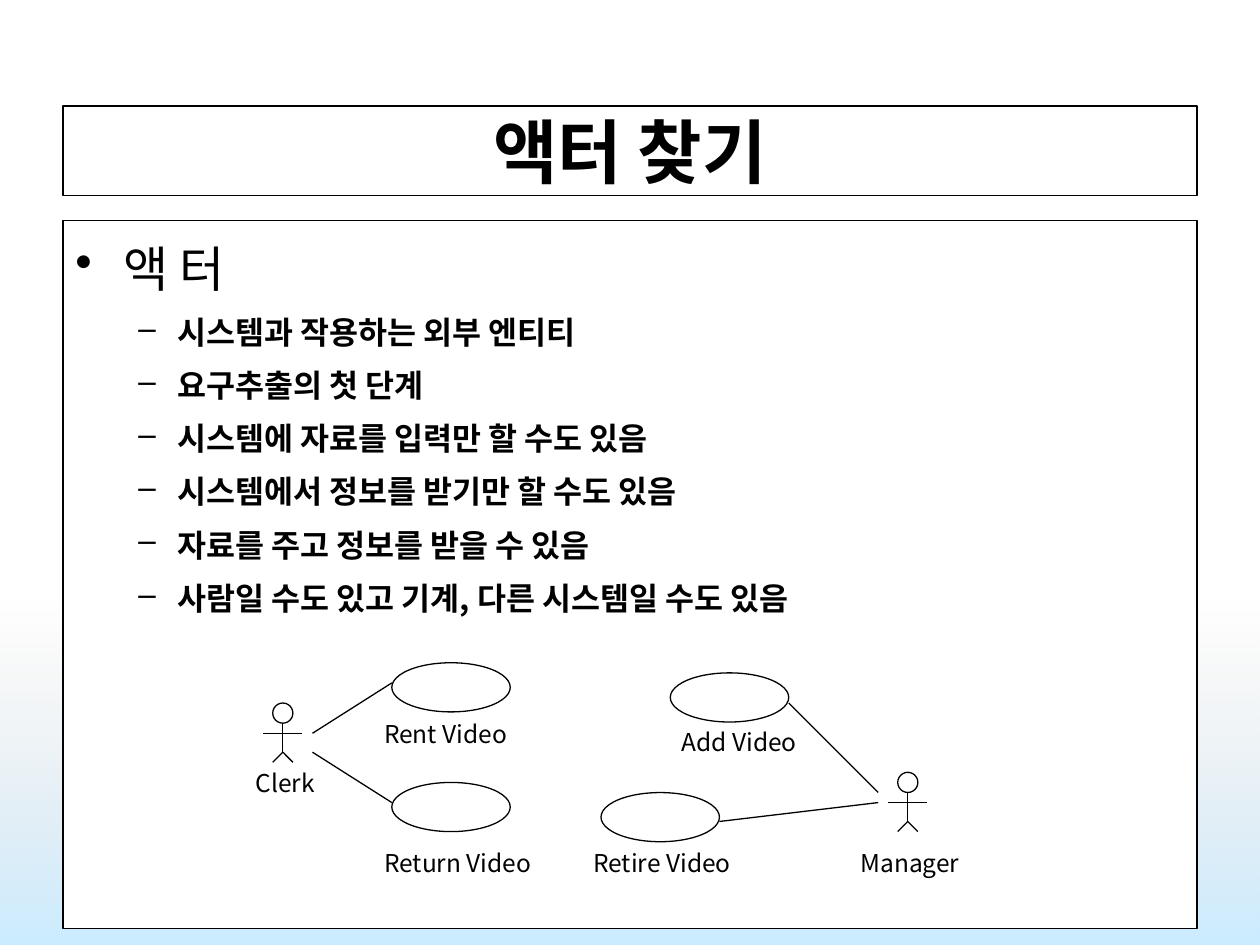
from dataclasses import dataclass

from lxml.etree import SubElement
from pptx import Presentation
from pptx.dml.color import RGBColor
from pptx.enum.shapes import MSO_CONNECTOR, MSO_SHAPE
from pptx.enum.text import MSO_ANCHOR, PP_ALIGN
from pptx.oxml.ns import qn
from pptx.util import Inches, Pt


@dataclass(frozen=True)
class Theme:
    font: str = "Noto Sans CJK KR"
    ink: RGBColor = RGBColor(0, 0, 0)
    paper: RGBColor = RGBColor(255, 255, 255)
    haze: RGBColor = RGBColor(0xDD, 0xDD, 0xDD)
    sky: RGBColor = RGBColor(0xCC, 0xEC, 0xFF)
    rule: float = 0.75
    title: int = 40
    head: int = 28
    item: int = 18
    label: int = 14


THEME = Theme()
ITEMS = [
    "시스템과 작용하는 외부 엔티티",
    "요구추출의 첫 단계",
    "시스템에 자료를 입력만 할 수도 있음",
    "시스템에서 정보를 받기만 할 수도 있음",
    "자료를 주고 정보를 받을 수 있음",
    "사람일 수도 있고 기계, 다른 시스템일 수도 있음",
]

# Diagram parts, measured from the corner of the diagram box
ACTORS = [(0.16, 0.32), (5.12, 0.87)]
CASES = [(1.18, 0), (1.18, 0.95), (3.39, 0.08), (2.84, 1.03)]
LABELS = [
    ("Clerk", 0, 0.79, 0.95),
    ("Rent Video", 1.02, 0.4, 1.34),
    ("Return Video", 1.02, 1.42, 1.42),
    ("Retire Video", 2.68, 1.42, 1.42),
    ("Add Video", 3.38, 0.46, 1.42),
    ("Manager", 4.8, 1.42, 1.1),
]
LINKS = [
    (1.18, 0.16, 0.55, 0.56),
    (1.18, 1.11, 0.55, 0.71),
    (4.33, 0.32, 5.04, 1.03),
    (3.78, 1.26, 5.04, 1.11),
]


def assign(target, values):
    for name, value in values.items():
        setattr(target, name, value)


def write(par, text, size, bold=False):
    run = par.add_run()
    run.text = text
    assign(run.font, {"name": THEME.font, "size": Pt(size), "bold": bold})
    run.font.color.rgb = THEME.ink
    SubElement(run.font._element, qn("a:ea")).set("typeface", THEME.font)


def bullet(par, mark, left, hang):
    props = par._p.get_or_add_pPr()
    props.set("marL", str(Inches(left)))
    props.set("indent", str(-Inches(hang)))
    color = SubElement(props, qn("a:buClr"))
    SubElement(color, qn("a:srgbClr")).set("val", str(THEME.ink))
    SubElement(props, qn("a:buChar")).set("char", mark)


def shape(slide, kind, x, y, w, h, fill=None):
    item = slide.shapes.add_shape(kind, Inches(x), Inches(y), Inches(w), Inches(h))
    item.shadow.inherit = False
    item.line.color.rgb = THEME.ink
    item.line.width = Pt(THEME.rule)
    if fill is None:
        item.fill.background()
    else:
        item.fill.solid()
        item.fill.fore_color.rgb = fill
    return item


def line(slide, x1, y1, x2, y2):
    item = slide.shapes.add_connector(
        MSO_CONNECTOR.STRAIGHT, Inches(x1), Inches(y1), Inches(x2), Inches(y2))
    item.line.color.rgb = THEME.ink
    item.line.width = Pt(THEME.rule)
    SubElement(item._element.spPr, qn("a:effectLst"))


def panel(slide, x, y, w, h, anchor):
    frame = shape(slide, MSO_SHAPE.RECTANGLE, x, y, w, h, THEME.paper).text_frame
    assign(frame, {"word_wrap": True, "vertical_anchor": anchor})
    return frame


def backdrop(slide, x, y, w, h):
    band = shape(slide, MSO_SHAPE.RECTANGLE, x, y, w, h)
    band.line.fill.background()
    band.fill.gradient()
    band.fill.gradient_angle = 270
    for stop, color, place in zip(
            band.fill.gradient_stops, (THEME.haze, THEME.sky), (0, 1)):
        stop.color.rgb = color
        stop.position = place
    # The upper end fades out fully
    tint = band._element.spPr.find(".//" + qn("a:srgbClr"))
    SubElement(tint, qn("a:alpha")).set("val", "0")


def title(slide, x, y, w, h):
    par = panel(slide, x, y, w, h, MSO_ANCHOR.MIDDLE).paragraphs[0]
    par.alignment = PP_ALIGN.CENTER
    write(par, "액터 찾기", THEME.title, True)


def body(slide, x, y, w, h):
    frame = panel(slide, x, y, w, h, MSO_ANCHOR.TOP)
    head = frame.paragraphs[0]
    assign(head, {"alignment": PP_ALIGN.LEFT, "line_spacing": 1.2})
    bullet(head, "•", 0.38, 0.38)
    write(head, "액 터", THEME.head)
    for text in ITEMS:
        par = frame.add_paragraph()
        assign(par, {"level": 1, "alignment": PP_ALIGN.LEFT,
                     "line_spacing": 1.2, "space_before": Pt(4.5)})
        bullet(par, "–", 0.81, 0.31)
        write(par, text, THEME.item, True)


def actor(slide, x, y, w, h):
    mid, hip, foot = x + w / 2, y + 0.39, y + h
    shape(slide, MSO_SHAPE.OVAL, mid - 0.08, y, 0.16, 0.16)
    line(slide, x, y + 0.24, x + w, y + 0.24)
    line(slide, mid, y + 0.16, mid, hip)
    for side in (-0.08, 0.08):
        line(slide, mid, hip, mid + side, foot)


def label(slide, text, x, y, w, h):
    box = slide.shapes.add_textbox(Inches(x), Inches(y), Inches(w), Inches(h))
    box.text_frame.word_wrap = True
    write(box.text_frame.paragraphs[0], text, THEME.label)


def diagram(slide, x, y):
    for dx, dy in ACTORS:
        actor(slide, x + dx, y + dy, 0.31, 0.47)
    for dx, dy in CASES:
        shape(slide, MSO_SHAPE.OVAL, x + dx, y + dy, 0.94, 0.39)
    for text, dx, dy, w in LABELS:
        label(slide, text, x + dx, y + dy, w, 0.34)
    for x1, y1, x2, y2 in LINKS:
        line(slide, x + x1, y + y1, x + x2, y + y2)


def main():
    deck = Presentation()
    assign(deck, {"slide_width": Inches(10), "slide_height": Inches(7.5)})
    slide = deck.slides.add_slide(deck.slide_layouts[6])
    backdrop(slide, 0, 4.77, 10, 2.73)
    title(slide, 0.5, 0.84, 9, 0.71)
    body(slide, 0.5, 1.75, 9, 5.62)
    diagram(slide, 1.93, 5.26)
    deck.save("out.pptx")


if __name__ == "__main__":
    main()
